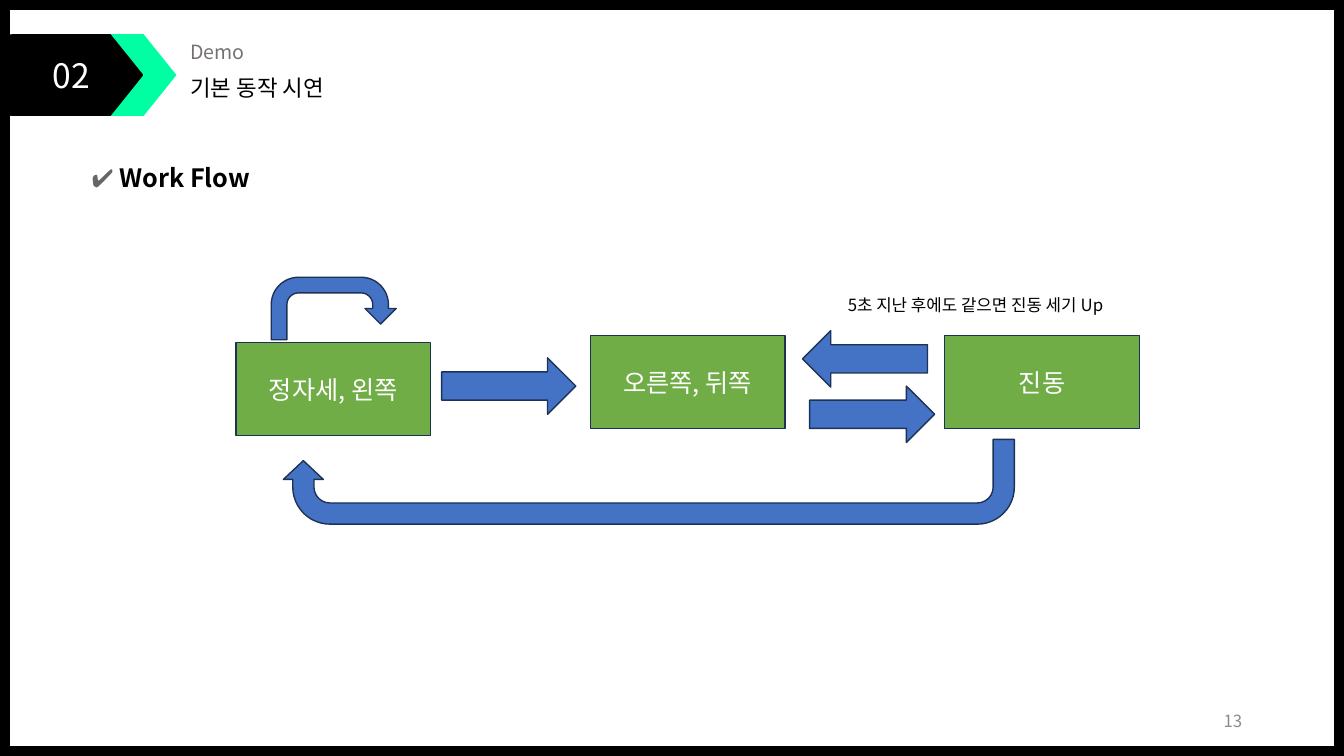
from pptx import Presentation
from pptx.dml.color import RGBColor
from pptx.enum.shapes import MSO_SHAPE as Shape
from pptx.enum.text import MSO_ANCHOR as Anchor, PP_ALIGN as Align
from pptx.oxml.ns import qn
from pptx.util import Inches, Pt
from lxml.etree import SubElement

BLACK = RGBColor(0x00, 0x00, 0x00)
WHITE = RGBColor(0xFF, 0xFF, 0xFF)
MINT = RGBColor(0x00, 0xFF, 0xA3)
GREEN = RGBColor(0x70, 0xAD, 0x47)
BLUE = RGBColor(0x44, 0x72, 0xC4)
NAVY = RGBColor(0x1E, 0x32, 0x56)
LABEL_GRAY = RGBColor(0x76, 0x71, 0x71)
CHECK_GRAY = RGBColor(0x66, 0x66, 0x66)
NUMBER_GRAY = RGBColor(0x8C, 0x8C, 0x8C)
KOREAN = "Noto Sans CJK KR"

deck = Presentation()
deck.slide_width, deck.slide_height = Inches(13.33), Inches(7.5)
slide = deck.slides.add_slide(deck.slide_layouts[6])

# Grid: 100 columns by 100 rows
COL, ROW = deck.slide_width / 100, deck.slide_height / 100


def add_block(kind, col, row, cols, rows, fill=None, outlined=False, adjust=()):
    """Place a preset shape, or a text box when kind is None."""
    place = [round(v) for v in (col * COL, row * ROW, cols * COL, rows * ROW)]
    if kind is None:
        block = slide.shapes.add_textbox(*place)
    else:
        block = slide.shapes.add_shape(kind, *place)
        block.shadow.inherit = False
        block.fill.solid()
        block.fill.fore_color.rgb = fill
        if outlined:
            block.line.color.rgb = NAVY
            block.line.width = Pt(1)
        else:
            block.line.fill.background()
        for index, value in enumerate(adjust):
            block.adjustments[index] = value
        block.text_frame.vertical_anchor = Anchor.MIDDLE
        block.text_frame.paragraphs[0].alignment = Align.CENTER
    block.text_frame.word_wrap = True
    return block


def add_run(block, text, size, color, font=KOREAN, bold=False):
    run = block.text_frame.paragraphs[0].add_run()
    run.text = text
    run.font.size, run.font.bold = Pt(size), bold
    run.font.color.rgb = color
    run.font.name = font
    SubElement(run.font._element, qn("a:ea")).set("typeface", font)


# Border
add_block(Shape.FRAME, 0, 0, 100, 100, BLACK, adjust=[0.013])

# Header
topic = add_block(None, 13.43, 4.67, 8.33, 4.53)
add_run(topic, "Demo", 14, LABEL_GRAY)
title = add_block(None, 13.43, 9.2, 25.5, 4.93)
add_run(title, "기본 동작 시연", 16, BLACK)
section = add_block(Shape.ROUNDED_RECTANGLE, 0, 4.53, 10.65, 10.8, BLACK, adjust=[0.143])
add_run(section, "02", 24, WHITE)
add_block(Shape.CHEVRON, 8.25, 4.53, 4.88, 10.8, MINT)

# Page number
page_number = add_block(None, 70.67, 92.67, 22.5, 5.33)
page_number.text_frame.vertical_anchor = Anchor.MIDDLE
page_number.text_frame.paragraphs[0].alignment = Align.RIGHT
add_run(page_number, "13", 12, NUMBER_GRAY)

# Heading
heading = add_block(None, 6.08, 20.8, 13.58, 5.33)
heading.text_frame.word_wrap = False
add_run(heading, "✔ ", 18, CHECK_GRAY, "Calibri")
add_run(heading, "Work Flow", 18, BLACK, bold=True)

# States, evenly spaced
states = [("정자세, 왼쪽", 45.33), ("오른쪽, 뒤쪽", 44.4), ("진동", 44.4)]
for index, (state_name, row) in enumerate(states):
    state = add_block(Shape.RECTANGLE, 17.55 + index * 26.37, row, 14.48, 12.27, GREEN, True)
    add_run(state, state_name, 18, WHITE)

# Transitions: kind, place on the grid, rotation, adjustments
transitions = [
    (Shape.U_TURN_ARROW, (21.08, 58.13, 54.39, 11.2), 180, [0.25, 0.236, 0.222, 0.438, 0.75]),
    (Shape.RIGHT_ARROW, (32.86, 47.33, 9.98, 7.47), 0, []),
    (Shape.RIGHT_ARROW, (60.24, 51.07, 9.3, 7.47), 0, []),
    (Shape.RIGHT_ARROW, (59.71, 43.73, 9.3, 7.47), 180, []),
    (Shape.U_TURN_ARROW, (20.18, 36.67, 9.3, 8.27), 0, []),
]
for kind, place, rotation, adjust in transitions:
    transition = add_block(kind, *place, BLUE, True, adjust)
    transition.rotation = rotation

# Condition for stronger vibration
condition = add_block(None, 62.34, 38.27, 25.06, 4)
add_run(condition, "5초 지난 후에도 같으면 진동 세기 Up", 12, BLACK)

deck.save("out.pptx")
